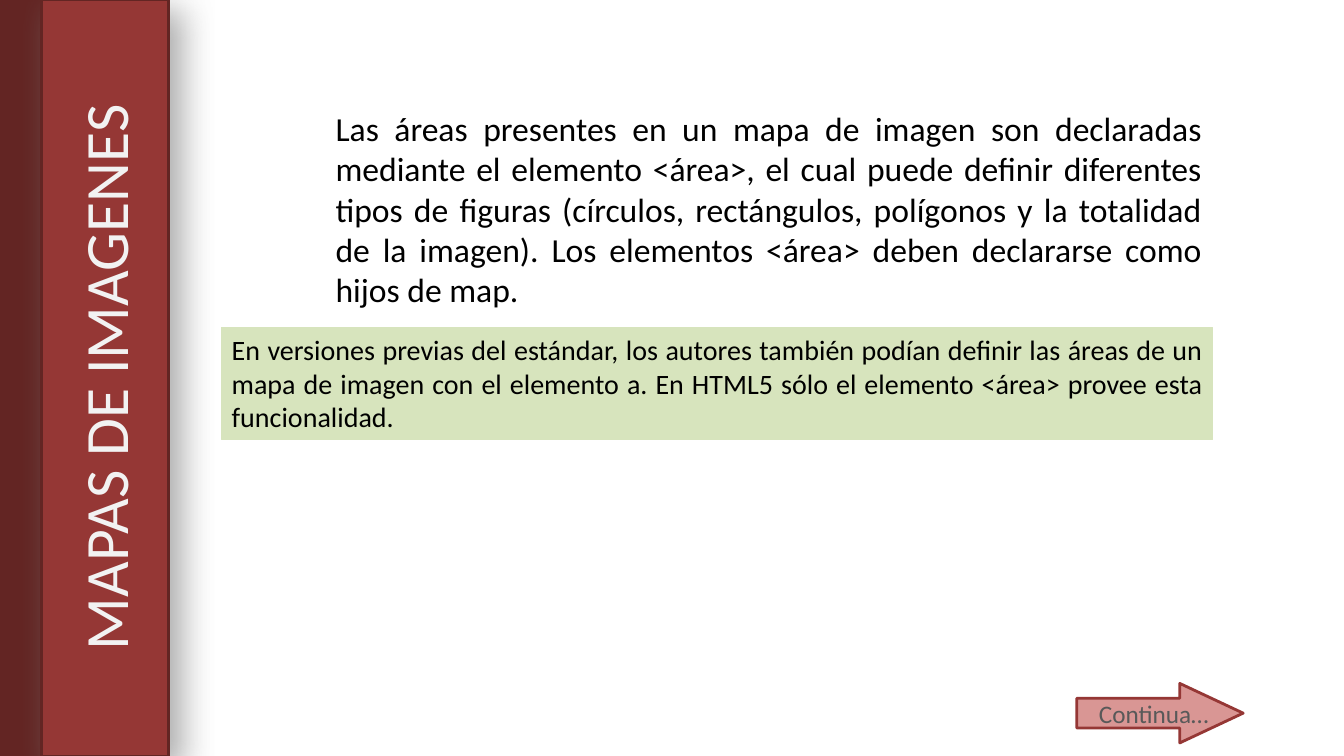
from lxml.etree import SubElement
from pptx import Presentation
from pptx.dml.color import RGBColor
from pptx.enum.shapes import MSO_SHAPE
from pptx.enum.text import MSO_ANCHOR, PP_ALIGN
from pptx.oxml import parse_xml
from pptx.oxml.ns import nsdecls
from pptx.util import Inches, Pt


def add_box(shapes, kind, box, fill, line, width):
    sp = shapes.add_shape(kind, *map(Inches, box))
    sp.shadow.inherit = False
    sp.fill.solid()
    sp.fill.fore_color.rgb = RGBColor.from_string(fill)
    sp.line.color.rgb = RGBColor.from_string(line)
    sp.line.width = Pt(width)
    return sp


def write(sp, text, size, color, align, anchor=MSO_ANCHOR.TOP, wrap=True):
    tf = sp.text_frame
    tf.word_wrap = wrap
    tf.vertical_anchor = anchor
    p = tf.paragraphs[0]
    p.text = text
    p.alignment = align
    p.font.name = "Calibri"
    p.font.size = Pt(size)
    p.font.color.rgb = RGBColor.from_string(color)
    return p


prs = Presentation()
prs.slide_width, prs.slide_height = Inches(13.33), Inches(7.5)
s = prs.slides.add_slide(prs.slide_layouts[5])

# Side bands with soft shadows
bands = s.shapes.add_group_shape()
for left, fill in ((-0.03, "632523"), (0.41, "953735")):
    band = add_box(bands.shapes, MSO_SHAPE.RECTANGLE, (left, 0, 1.26, 7.5),
                   fill, "632523", 2)
    effects = band.element.spPr.find("{*}effectLst")
    effects.append(parse_xml(
        f'<a:outerShdw {nsdecls("a")} blurRad="{Pt(24)}" dist="{Pt(11)}" '
        'dir="2700000" algn="tl" rotWithShape="0"><a:srgbClr val="808080">'
        '<a:alpha val="65000"/></a:srgbClr></a:outerShdw>'))

# Vertical title on top of the bands
title = s.shapes.title
title.left, title.top = Inches(-2.72), Inches(3.12)
title.width, title.height = Inches(7.5), Inches(1.25)
title.rotation = 270
write(title, "MAPAS DE IMAGENES", 44, "F2F2F2", PP_ALIGN.CENTER, MSO_ANCHOR.MIDDLE)
bands.element.addnext(title.element)

# Continue arrow
more = s.shapes.add_group_shape()
arrow = add_box(more.shapes, MSO_SHAPE.RIGHT_ARROW, (10.68, 6.78, 1.65, 0.59),
                "D99694", "953735", 2)
arrow.adjustments[1] = 1.065
label = more.shapes.add_textbox(Inches(10.8), Inches(6.88), Inches(1.42), Inches(0.4))
write(label, "Continua…", 18, "595959", PP_ALIGN.LEFT, wrap=False)

# Main text and note
body = s.shapes.add_textbox(Inches(3.23), Inches(1.02), Inches(8.79), Inches(2.12))
p = write(body, "Las áreas presentes en un mapa de imagen son declaradas mediante el "
          "elemento <área>, el cual puede definir diferentes tipos de figuras "
          "(círculos, rectángulos, polígonos y la totalidad de la imagen). Los "
          "elementos <área> deben declararse como hijos de map.",
          24, "000000", PP_ALIGN.JUSTIFY)
p.space_after = Pt(6)

note = add_box(s.shapes, MSO_SHAPE.RECTANGLE, (2.2, 3.25, 9.83, 1.11),
               "D7E4BD", "D7E4BD", 0.75)
p = write(note, "En versiones previas del estándar, los autores también podían definir "
          "las áreas de un mapa de imagen con el elemento a. En HTML5 sólo el "
          "elemento <área> provee esta funcionalidad.",
          20, "000000", PP_ALIGN.JUSTIFY)
p.line_spacing = Pt(24)

prs.save("out.pptx")
